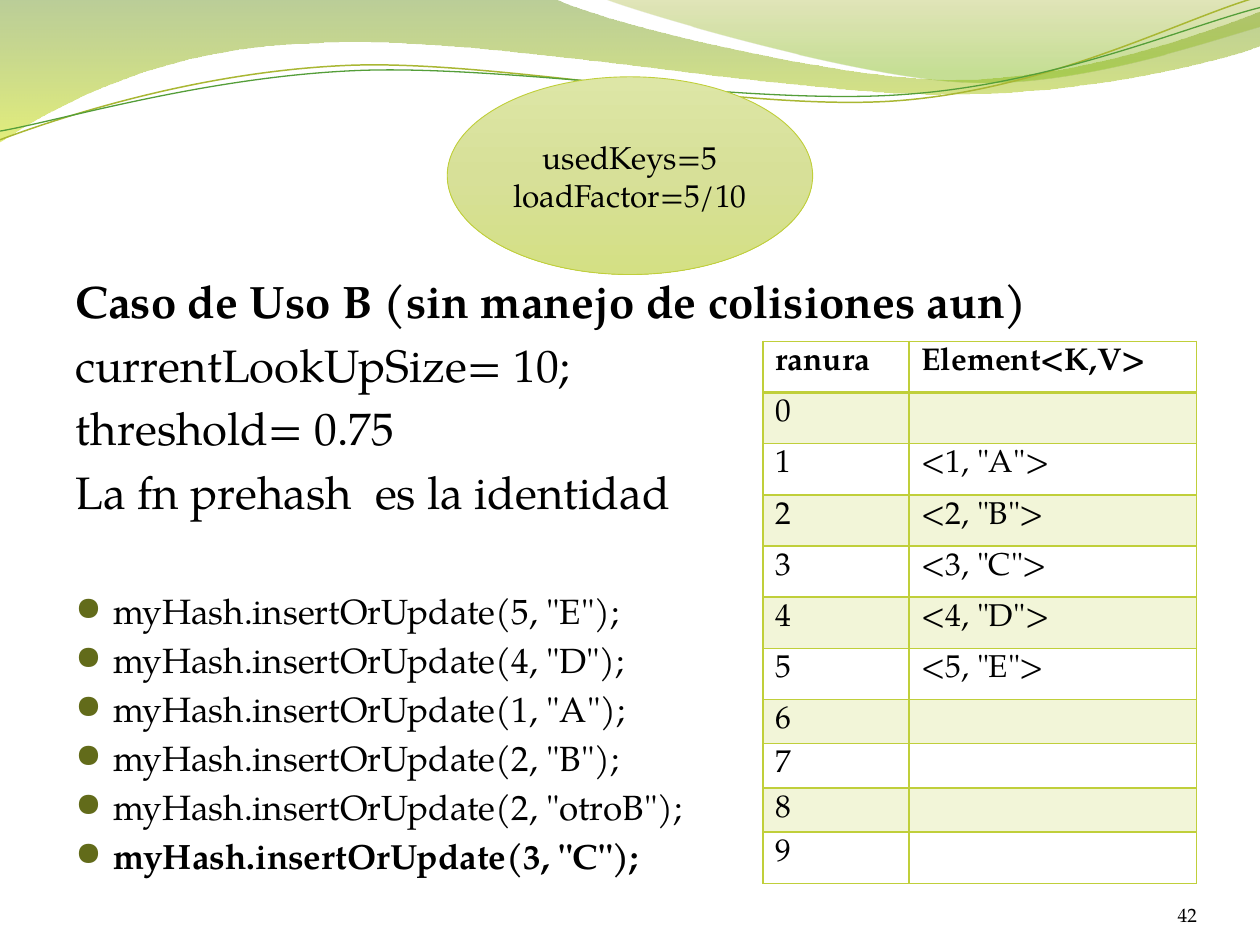
from lxml import etree
from pptx import Presentation
from pptx import util as u
from pptx.dml.color import RGBColor
from pptx.enum import shapes, text
from pptx.oxml import ns


def color(value):
    return RGBColor.from_string(value)


def child(parent, tag, **attributes):
    return etree.SubElement(parent, ns.qn(tag), **attributes)


class SlideBuilder:
    """Draws styled elements, measured in points, on the current slide."""

    font = "TeX Gyre Pagella"
    ink = "000000"
    accent = "C0CF3A"
    tint = "F2F5D8"
    bullet_color = "626B1A"

    def __init__(self, slide):
        self.slide = slide

    def format(self, paragraph, size, bold=False, align=text.PP_ALIGN.LEFT):
        paragraph.alignment = align
        for run in paragraph.runs:
            run.font.name = self.font
            run.font.size = u.Pt(size)
            run.font.bold = bold
            run.font.color.rgb = color(self.ink)

    def gradient(self, shape, stops):
        shape.fill.gradient()
        shape.fill.gradient_angle = 270
        stop_list = shape._element.spPr.find(ns.qn("a:gradFill")).find(ns.qn("a:gsLst"))
        for stop in list(stop_list):
            stop_list.remove(stop)
        for position, value, opacity in stops:
            stop = child(stop_list, "a:gs", pos=str(position * 1000))
            rgb = child(stop, "a:srgbClr", val=value)
            if opacity < 100:
                child(rgb, "a:alpha", val=str(opacity * 1000))

    def freeform(self, start, segments, close):
        builder = self.slide.shapes.build_freeform(*map(u.Pt, start))
        points = [(u.Pt(x), u.Pt(y)) for segment in segments for x, y in segment]
        builder.add_line_segments(points, close=close)
        shape = builder.convert_to_shape()
        shape.shadow.inherit = False
        lines = iter(list(shape._element.spPr.iter(ns.qn("a:lnTo"))))
        for segment in segments:
            group = [next(lines) for _ in segment]
            if len(group) == 3:
                bezier = etree.Element(ns.qn("a:cubicBezTo"))
                group[0].addprevious(bezier)
                for line in group:
                    bezier.append(line[0])
                    line.getparent().remove(line)
        return shape

    def band(self, start, segments, stops):
        shape = self.freeform(start, segments, True)
        self.gradient(shape, stops)
        shape.line.fill.background()

    def wave(self, start, segments, value, width):
        shape = self.freeform(start, segments, False)
        shape.fill.background()
        shape.line.color.rgb = color(value)
        shape.line.width = u.Pt(width)

    def ellipse(self, box, lines, size, stops):
        shape = self.slide.shapes.add_shape(shapes.MSO_SHAPE.OVAL, *map(u.Pt, box))
        shape.shadow.inherit = False
        self.gradient(shape, stops)
        shape.line.color.rgb = color(self.accent)
        shape.line.width = u.Pt(0.5)
        frame = shape.text_frame
        frame.text = "\n".join(lines)
        frame.vertical_anchor = text.MSO_ANCHOR.MIDDLE
        for paragraph in frame.paragraphs:
            self.format(paragraph, size, align=text.PP_ALIGN.CENTER)

    def text_box(self, box, lines):
        frame = self.slide.shapes.add_textbox(*map(u.Pt, box)).text_frame
        frame.word_wrap = True
        frame.text = "\n".join(lines)
        return frame

    def bullet(self, paragraph):
        properties = paragraph._p.get_or_add_pPr()
        properties.set("marL", str(u.Pt(21.6)))
        properties.set("indent", str(u.Pt(-21.6)))
        child(child(properties, "a:buClr"), "a:srgbClr", val=self.bullet_color)
        child(properties, "a:buSzPct", val="95000")
        child(properties, "a:buFont", typeface="OpenSymbol")
        child(properties, "a:buChar", char="●")

    def body(self, box, intro, calls):
        paragraphs = self.text_box(box, intro + calls).paragraphs
        last = len(paragraphs) - 1
        for index, paragraph in enumerate(paragraphs):
            listed = index >= len(intro)
            size = 20 if listed else 26
            self.format(paragraph, size, bold=index in (0, last))
            paragraph.space_before = u.Pt(40.4 if index == len(intro) else size * 0.2)
            if listed:
                self.bullet(paragraph)

    def page_number(self, box, number):
        frame = self.text_box(box, [number])
        frame.margin_left = frame.margin_right = frame.margin_top = frame.margin_bottom = 0
        frame.vertical_anchor = text.MSO_ANCHOR.BOTTOM
        self.format(frame.paragraphs[0], 11, align=text.PP_ALIGN.RIGHT)

    def border(self, cell, header):
        properties = cell._tc.get_or_add_tcPr()
        for index, side in enumerate(("a:lnL", "a:lnR", "a:lnT", "a:lnB")):
            width = 2 if header and side == "a:lnB" else 1
            line = etree.Element(ns.qn(side), w=str(u.Pt(width)))
            child(child(line, "a:solidFill"), "a:srgbClr", val=self.accent)
            properties.insert(index, line)

    def table(self, left, top, widths, heights, rows):
        box = map(u.Pt, (left, top, sum(widths), sum(heights)))
        table = self.slide.shapes.add_table(len(rows), len(widths), *box).table
        for column, width in zip(table.columns, widths):
            column.width = u.Pt(width)
        for index, (row, height, values) in enumerate(zip(table.rows, heights, rows)):
            row.height = u.Pt(height)
            for cell, value in zip(row.cells, values):
                cell.text = value
                cell.margin_bottom = 0
                self.format(cell.text_frame.paragraphs[0], 18, bold=index == 0)
                if index % 2:
                    cell.fill.solid()
                    cell.fill.fore_color.rgb = color(self.tint)
                else:
                    cell.fill.background()
                self.border(cell, index == 0)


def main():
    presentation = Presentation()
    presentation.slide_width, presentation.slide_height = u.Pt(720), u.Pt(540)
    builder = SlideBuilder(presentation.slides.add_slide(presentation.slide_layouts[6]))

    builder.band((0, 0), [[(316.8, -0.7)], [(342, 12.2), (477.4, 45.4), (545.8, 45.4)],
                          [(614.2, 45.4), (689.8, 18.7), (720, 6.5)], [(720.7, 25.9)],
                          [(707.8, 31.7), (625.7, 54.7), (537.1, 54)],
                          [(447.8, 54), (274.3, 20.2), (185, 24.5)],
                          [(92.9, 25.9), (33.1, 59.8), (-0.7, 81.4)], [(0, 0)]],
                 [(0, "69921C", 45), (100, "CCE10F", 55)])
    builder.band((344.9, -0.7), [[(366.5, 7.9), (491, 44.6), (553, 46.8)],
                                 [(615.6, 49.7), (691.9, 23), (720, 15.1)], [(720, 0)]],
                 [(0, "9BAA1A", 30), (80, "81BA16", 45)])
    builder.wave((0, 79.9), [[(34.6, 67), (113, 41), (198.7, 37.4)],
                             [(284.4, 33.8), (426.2, 64.1), (512.6, 57.6)],
                             [(599.8, 51.1), (675.4, 10.8), (717.8, -1.4)]], "A9B733", 0.85)
    builder.wave((0, 74.9), [[(33.8, 69.1), (117.4, 43.9), (203.8, 40.3)],
                             [(289.4, 36.7), (429.8, 60.5), (516.2, 54)],
                             [(601.9, 48.2), (677.5, 15.1), (720, 4.3)]], "549E39", 0.75)

    insertions = ['5, "E"', '4, "D"', '1, "A"', '2, "B"', '2, "otroB"', '3, "C"']
    builder.body((36, 152.6, 648, 345.6),
                 ["Caso de Uso B (sin manejo de colisiones aun)", "currentLookUpSize= 10;",
                  "threshold= 0.75", "La fn prehash  es la identidad"],
                 [f"myHash.insertOrUpdate({pair});" for pair in insertions])
    builder.page_number((624.2, 500.4, 59.8, 28.8), "42")

    elements = dict(enumerate("ABCDE", start=1))
    slots = [(str(slot), f'<{slot}, "{elements[slot]}">' if slot in elements else "")
             for slot in range(10)]
    builder.table(436, 195.1, (83.5, 164.4), [29.25] * 7 + [25.3] * 3 + [29.25],
                  [("ranura", "Element<K,V>")] + slots)
    builder.ellipse((255.6, 43.9, 208.8, 113), ["usedKeys=5", "loadFactor=5/10"], 18,
                    [(0, "DDE6A6", 100), (50, "D7E098", 100), (100, "D4E084", 100)])
    presentation.save("out.pptx")


if __name__ == "__main__":
    main()
